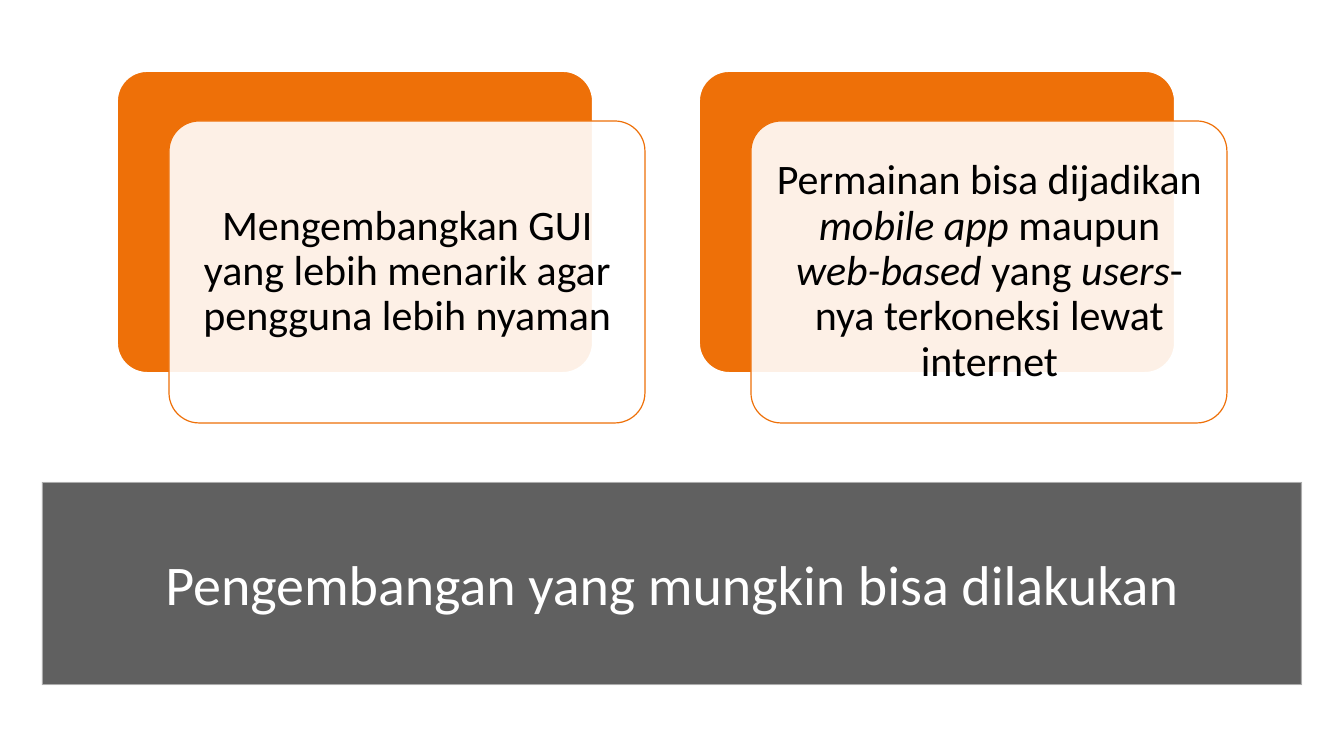
from lxml.etree import SubElement
from pptx import Presentation
from pptx.dml.color import RGBColor
from pptx.enum.shapes import MSO_SHAPE as Preset
from pptx.enum.text import MSO_ANCHOR as Anchor, PP_ALIGN as Align
from pptx.oxml.ns import qn
from pptx.util import Emu, Pt

SCALE = 914400 / 100.8
ORANGE, WHITE, BLACK, GREY, PALE = "EE7008", "FFFFFF", "000000", "606060", "F9F9F9"
IDEAS = [
    [("Mengembangkan GUI yang lebih menarik agar pengguna lebih nyaman", False)],
    [
        ("Permainan bisa dijadikan ", False),
        ("mobile app ", True),
        ("maupun ", False),
        ("web-based", True),
        (" yang ", False),
        ("users", True),
        ("-nya terkoneksi lewat internet", False),
    ],
]
TITLE = [("Pengembangan yang mungkin bisa dilakukan", False)]


def px(length):
    return Emu(round(length * SCALE))


def colour(value):
    return RGBColor.from_string(value)


def set_opacity(fill_format, percent):
    choice = fill_format._xPr.find(qn("a:solidFill"))[0]
    SubElement(choice, qn("a:alpha")).set("val", str(percent * 1000))


class SlideBuilder:
    font = "Calibri"

    def __init__(self, deck):
        self.page = deck.slides.add_slide(deck.slide_layouts[6])

    def panel(self, preset, left, top, width, height, fill, line, weight,
              fill_opacity=100, line_opacity=100):
        box = self.page.shapes.add_shape(preset, px(left), px(top), px(width), px(height))
        box.shadow.inherit = False
        box.fill.solid()
        box.fill.fore_color.rgb = colour(fill)
        box.line.fill.solid()
        box.line.color.rgb = colour(line)
        box.line.width = Pt(weight)
        if fill_opacity < 100:
            set_opacity(box.fill, fill_opacity)
        if line_opacity < 100:
            set_opacity(box.line.fill, line_opacity)
        return box

    def card(self, left, top, fill, line, weight, opacity=100):
        box = self.panel(Preset.ROUNDED_RECTANGLE, left, top, 476, 302,
                         fill, line, weight, opacity)
        box.adjustments[0] = 0.1

    def fill_text(self, frame, spans, size, text_colour, spacing=1.0):
        frame.word_wrap = True
        frame.vertical_anchor = Anchor.MIDDLE
        para = frame.paragraphs[0]
        para.alignment = Align.CENTER
        para.line_spacing = spacing
        para.font.name = self.font
        para.font.size = Pt(size)
        para.font.color.rgb = colour(text_colour)
        for words, italic in spans:
            span = para.add_run()
            span.text = words
            if italic:
                span.font.italic = True

    def text(self, left, top, width, height, spans):
        box = self.page.shapes.add_textbox(px(left), px(top), px(width), px(height))
        frame = box.text_frame
        frame.margin_left = frame.margin_right = px(12)
        frame.margin_top = frame.margin_bottom = px(12)
        self.fill_text(frame, spans, 30, BLACK, 0.9)

    def idea(self, left, top, spans):
        self.card(left, top, ORANGE, WHITE, 1.35)
        self.card(left + 52, top + 50, WHITE, ORANGE, 0.85, opacity=90)
        self.text(left + 61, top + 59, 459, 284, spans)

    def banner(self, left, top, width, height, spans):
        box = self.panel(Preset.RECTANGLE, left, top, width, height,
                         GREY, PALE, 1.35, line_opacity=50)
        self.fill_text(box.text_frame, spans, 40, WHITE)


def main():
    deck = Presentation()
    deck.slide_width, deck.slide_height = px(1344), px(756)
    builder = SlideBuilder(deck)
    for index, spans in enumerate(IDEAS):
        builder.idea(117 + 582 * index, 71, spans)
    builder.banner(42, 482, 1260, 203, TITLE)
    deck.save("out.pptx")


if __name__ == "__main__":
    main()
